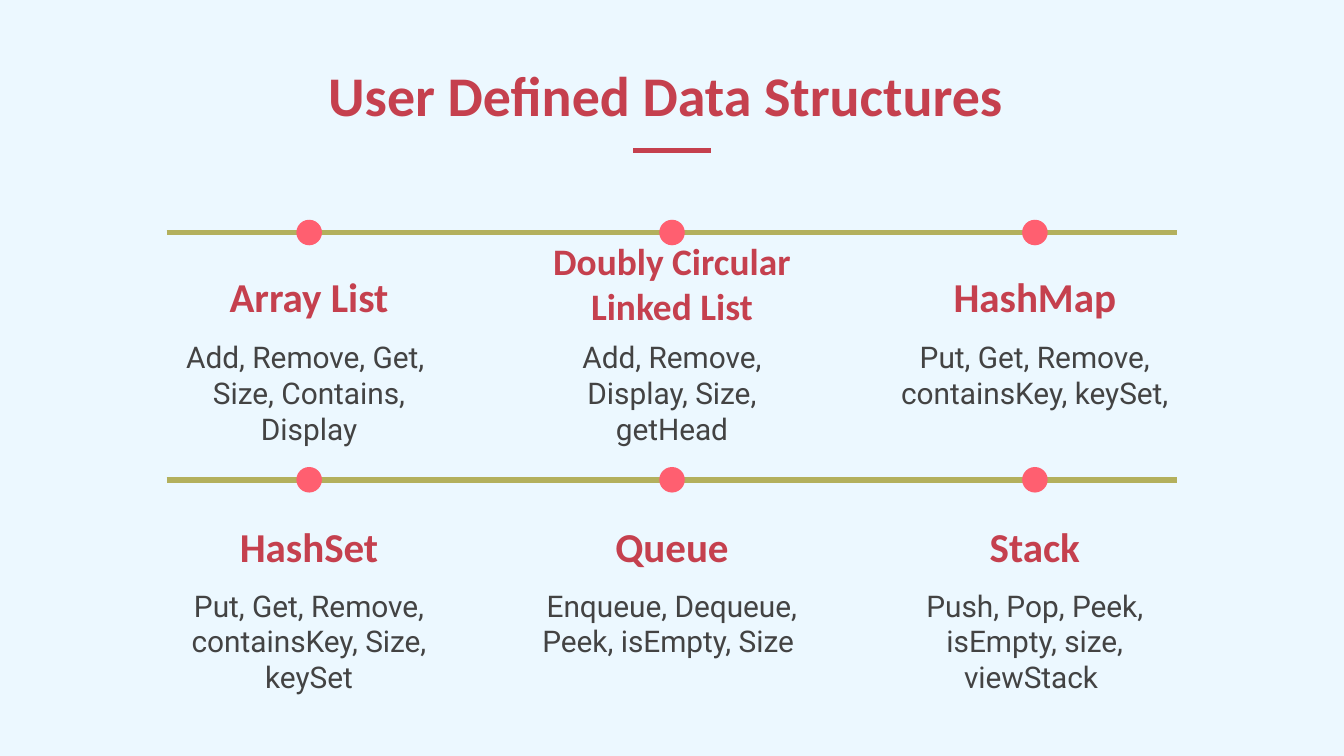
import pptx
import pptx.dml.color
import pptx.enum.shapes
import pptx.enum.text
import pptx.oxml.ns
import pptx.util
from lxml import etree

Inches = pptx.util.Inches
ANCHOR = pptx.enum.text.MSO_ANCHOR

# Content: (heading, heading size, operations as paragraphs)
TITLE = "User Defined Data Structures "
ROWS = [
    [
        ("Array List", 22, "Add, Remove, Get, \nSize, Contains, Display"),
        ("Doubly Circular Linked List", 20, "Add, Remove, Display, Size, getHead"),
        ("HashMap", 22, "Put, Get, Remove, containsKey, keySet, "),
    ],
    [
        ("HashSet", 22, "Put, Get, Remove, containsKey, Size, keySet"),
        ("Queue", 22, "Enqueue, Dequeue, Peek, isEmpty, Size "),
        ("Stack", 22, "Push, Pop, Peek, isEmpty, size, viewStack "),
    ],
]

# Colours
BACKGROUND, RED, OLIVE, PINK, GREY = "ECF8FF", "C5404E", "B3B05D", "FF5F70", "434343"

# Layout in inches, on a 16:9 page
PAGE_WIDTH = 10
PAGE_HEIGHT = PAGE_WIDTH * 9 / 16
COLUMN_LEFT, COLUMN_STEP, COLUMN_WIDTH = 1.28, 2.7, 2.04
LINE_LEFT, LINE_RIGHT = 1.24, 8.76
LINE_TOPS = [1.73, 3.57]
HEADING_TOPS = [1.76, 3.62]
BODY_TOPS = [2.42, 4.27]
HEADING_HEIGHT, BODY_HEIGHT = 0.73, 1.02
TWO_LINE_DROP = 0.05
DOT = 0.19


def colour(value):
    return pptx.dml.color.RGBColor.from_string(value)


def add_text(page, text, place, font, size, ink, bold=False, anchor=ANCHOR.TOP, side=0.1):
    box = page.shapes.add_textbox(*[Inches(length) for length in place])
    frame = box.text_frame
    frame.word_wrap = True
    frame.vertical_anchor = anchor
    frame.margin_left = frame.margin_right = Inches(side)
    frame.margin_top = frame.margin_bottom = Inches(0.1)
    frame.text = text
    for para in frame.paragraphs:
        para.alignment = pptx.enum.text.PP_ALIGN.CENTER
        for span in para.runs:
            span.font.name = font
            span.font.size = pptx.util.Pt(size)
            span.font.bold = bold
            span.font.color.rgb = colour(ink)


def add_line(page, left, right, top, ink):
    line = page.shapes.add_connector(
        pptx.enum.shapes.MSO_CONNECTOR.STRAIGHT,
        Inches(left), Inches(top), Inches(right), Inches(top))
    line.line.color.rgb = colour(ink)
    line.line.width = pptx.util.Pt(3)
    etree.SubElement(line._element.spPr, pptx.oxml.ns.qn("a:effectLst"))


def add_dot(page, centre, middle):
    dot = page.shapes.add_shape(
        pptx.enum.shapes.MSO_SHAPE.OVAL,
        Inches(centre - DOT / 2), Inches(middle - DOT / 2), Inches(DOT), Inches(DOT))
    dot.shadow.inherit = False
    dot.fill.solid()
    dot.fill.fore_color.rgb = colour(PINK)
    dot.line.fill.background()


def main():
    deck = pptx.Presentation()
    deck.slide_width, deck.slide_height = Inches(PAGE_WIDTH), Inches(PAGE_HEIGHT)
    page = deck.slides.add_slide(deck.slide_layouts[6])
    page.background.fill.solid()
    page.background.fill.fore_color.rgb = colour(BACKGROUND)

    # Title and its underline
    add_line(page, 4.71, 5.29, 1.12, RED)
    add_text(page, TITLE, (0.87, 0.22, 8.26, 0.83), "Calibri", 30, RED, True, ANCHOR.BOTTOM)

    # Each row: a line with a dot, heading and operations per column
    for row, line_top, heading_top, body_top in zip(ROWS, LINE_TOPS, HEADING_TOPS, BODY_TOPS):
        add_line(page, LINE_LEFT, LINE_RIGHT, line_top, OLIVE)
        for column, (heading, size, operations) in enumerate(row):
            left = COLUMN_LEFT + column * COLUMN_STEP
            top = heading_top + (TWO_LINE_DROP if size == 20 else 0)
            add_dot(page, left + COLUMN_WIDTH / 2, line_top)
            add_text(page, heading, (left, top, COLUMN_WIDTH, HEADING_HEIGHT),
                     "Calibri", size, RED, True, ANCHOR.BOTTOM)
            add_text(page, operations, (left, body_top, COLUMN_WIDTH, BODY_HEIGHT),
                     "Roboto", 16, GREY, side=0)

    deck.save("out.pptx")


if __name__ == "__main__":
    main()
